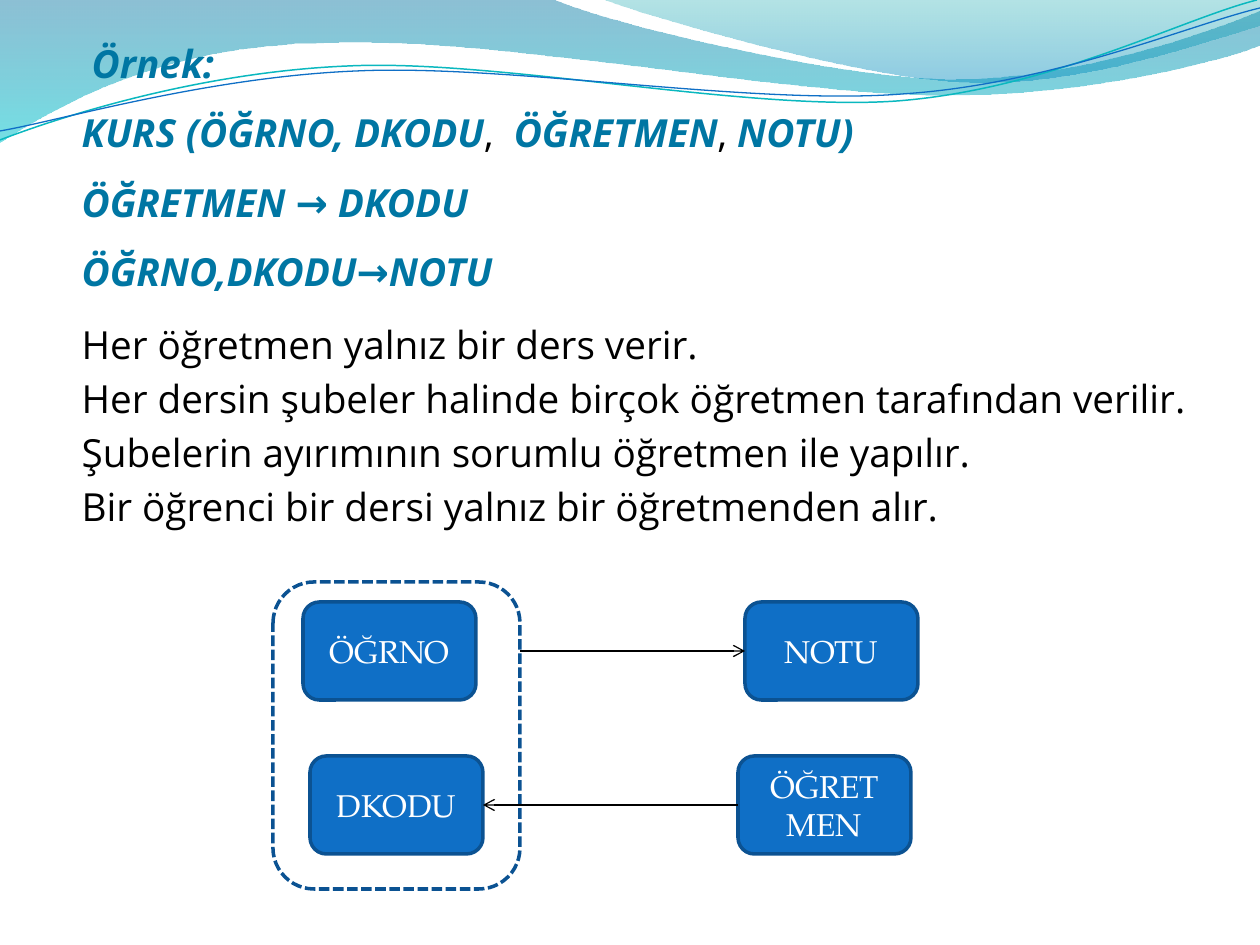
import dataclasses
import typing

import lxml.etree
import pptx
import pptx.dml.color
import pptx.enum.dml
import pptx.enum.shapes
import pptx.enum.text
import pptx.oxml.ns
import pptx.util

EMU_PER_PX = 914400 / 126
Point = tuple[int, int]


@dataclasses.dataclass(frozen=True)
class Theme:
    heading: str = "0076A3"
    text: str = "000000"
    light: str = "FFFFFF"
    node: str = "0F6FC6"
    edge: str = "0B5292"
    teal: str = "0AB8BF"
    body_font: str = "Open Sans"
    node_font: str = "TeX Gyre Pagella"
    body_size: float = 22.1
    node_size: float = 18
    node_line: float = 2
    thin_line: float = 0.75


THEME = Theme()


class Stop(typing.NamedTuple):
    color: str
    opacity: int


@dataclasses.dataclass(frozen=True)
class Wave:
    start: Point
    segments: list[tuple[Point, ...]]
    stops: tuple[Stop, ...] = ()
    line: str = ""
    width: float = 0


class Node(typing.NamedTuple):
    label: str
    left: int
    top: int


class Arrow(typing.NamedTuple):
    start: Point
    end: Point


WAVES = [
    Wave((0, 0), [
        ((554, 0),),
        ((600, 21), (837, 79), (955, 79)),
        ((1075, 79), (1207, 33), (1260, 11)),
        ((1260, 45),),
        ((1239, 55), (1096, 96), (940, 95)),
        ((784, 95), (481, 35), (324, 43)),
        ((163, 45), (58, 105), (0, 142)),
    ], stops=(Stop("0074A1", 45), Stop("00C6CF", 55))),
    Wave((604, 0), [
        ((642, 15), (859, 78), (969, 82)),
        ((1079, 87), (1211, 40), (1260, 26)),
        ((1260, 0),),
    ], stops=(Stop("00A1A9", 30), Stop("008BBF", 45))),
    Wave((0, 140), [
        ((60, 117), (199, 72), (349, 66)),
        ((498, 59), (747, 112), (898, 101)),
        ((1050, 89), (1182, 19), (1257, 0)),
    ], line=THEME.teal, width=0.85),
    Wave((0, 131), [
        ((59, 121), (207, 77), (357, 71)),
        ((508, 64), (752, 106), (903, 94)),
        ((1053, 84), (1186, 26), (1260, 8)),
    ], line=THEME.node, width=THEME.thin_line),
]

HEADINGS = [
    [(" Örnek:", True)],
    [("KURS (ÖĞRNO, DKODU", True), (",  ", False), ("ÖĞRETMEN", True),
     (",", False), (" NOTU)", True)],
    [("ÖĞRETMEN → DKODU", True)],
    [("ÖĞRNO,DKODU→NOTU", True)],
]
STATEMENTS = [
    "Her öğretmen yalnız bir ders verir.",
    "Her dersin şubeler halinde birçok öğretmen tarafından verilir.",
    "Şubelerin ayırımının sorumlu öğretmen ile yapılır.",
    "Bir öğrenci bir dersi yalnız bir öğretmenden alır.",
]
NODE_SIZE = (173, 98)
NODE_INSET = 18
NODES = [Node("ÖĞRNO", 303, 602), Node("DKODU", 310, 756),
         Node("ÖĞRETMEN", 738, 756), Node("NOTU", 745, 602)]
KEY_FRAME = (273, 582, 247, 307)
ARROWS = [Arrow((520, 651), (745, 651)), Arrow((738, 805), (483, 805))]


def px(value: float) -> int:
    return round(value * EMU_PER_PX)


def rgb(color: str) -> pptx.dml.color.RGBColor:
    return pptx.dml.color.RGBColor.from_string(color)


def apply(target: typing.Any, values: dict[str, typing.Any]) -> None:
    for name, value in values.items():
        setattr(target, name, value)


def add_element(parent: typing.Any, tag: str, **attributes: str) -> None:
    lxml.etree.SubElement(parent, pptx.oxml.ns.qn(tag), **attributes)


def set_line(line: typing.Any, color: str, width: float) -> None:
    line.color.rgb = rgb(color)
    line.width = pptx.util.Pt(width)


def bend(shape: typing.Any, wave: Wave) -> None:
    edges = list(shape._element.iter(pptx.oxml.ns.qn("a:lnTo")))
    for edge, segment in zip(edges, wave.segments):
        if len(segment) == 3:
            curve = lxml.etree.Element(pptx.oxml.ns.qn("a:cubicBezTo"))
            for x, y in segment:
                add_element(curve, "a:pt", x=str(px(x) - shape.left), y=str(px(y) - shape.top))
            edge.getparent().replace(edge, curve)


def draw_wave(page: typing.Any, wave: Wave) -> None:
    builder = page.shapes.build_freeform(*map(px, wave.start))
    ends = [tuple(map(px, segment[-1])) for segment in wave.segments]
    builder.add_line_segments(ends, close=bool(wave.stops))
    shape = builder.convert_to_shape()
    shape.shadow.inherit = False
    bend(shape, wave)
    if not wave.stops:
        shape.fill.background()
        set_line(shape.line, wave.line, wave.width)
        return
    shape.line.fill.background()
    shape.fill.gradient()
    shape.fill.gradient_angle = 270
    for position, (target, stop) in enumerate(zip(shape.fill.gradient_stops, wave.stops)):
        target.position = position
        target.color.rgb = rgb(stop.color)
    colors = shape._element.spPr.iter(pptx.oxml.ns.qn("a:srgbClr"))
    for color, stop in zip(list(colors), wave.stops):
        add_element(color, "a:alpha", val=str(stop.opacity * 1000))


def fill_body(box: typing.Any) -> None:
    apply(box, {"left": px(69), "top": px(37), "width": px(1177), "height": px(544)})
    frame = box.text_frame
    apply(frame, {"word_wrap": True, "auto_size": pptx.enum.text.MSO_AUTO_SIZE.NONE,
                  "vertical_anchor": pptx.enum.text.MSO_ANCHOR.TOP})
    rows = [(spans, 0.95, 10) for spans in HEADINGS]
    rows += [([(text, False)], 1.0, 0) for text in STATEMENTS]
    for index, (spans, spacing, after) in enumerate(rows):
        para = frame.add_paragraph() if index else frame.paragraphs[0]
        apply(para, {"line_spacing": spacing, "space_before": pptx.util.Pt(4.4),
                     "space_after": pptx.util.Pt(after)})
        properties = para._p.get_or_add_pPr()
        properties.set("marL", "0")
        properties.set("indent", "0")
        add_element(properties, "a:buNone")
        for text, strong in spans:
            span = para.add_run()
            span.text = text
            apply(span.font, {"name": THEME.body_font, "bold": strong, "italic": strong,
                              "size": pptx.util.Pt(THEME.body_size)})
            span.font.color.rgb = rgb(THEME.heading if strong else THEME.text)


def add_round_box(page: typing.Any, left: int, top: int, width: int, height: int) -> typing.Any:
    box = page.shapes.add_shape(pptx.enum.shapes.MSO_SHAPE.ROUNDED_RECTANGLE,
                                px(left), px(top), px(width), px(height))
    box.shadow.inherit = False
    set_line(box.line, THEME.edge, THEME.node_line)
    return box


def draw_node(page: typing.Any, node: Node) -> None:
    box = add_round_box(page, node.left, node.top, *NODE_SIZE)
    box.fill.solid()
    box.fill.fore_color.rgb = rgb(THEME.node)
    apply(box.text_frame, {"word_wrap": True, "margin_left": px(NODE_INSET),
                           "margin_right": px(NODE_INSET),
                           "vertical_anchor": pptx.enum.text.MSO_ANCHOR.MIDDLE})
    para = box.text_frame.paragraphs[0]
    para.alignment = pptx.enum.text.PP_ALIGN.CENTER
    span = para.add_run()
    span.text = node.label
    apply(span.font, {"name": THEME.node_font, "size": pptx.util.Pt(THEME.node_size)})
    span.font.color.rgb = rgb(THEME.light)


def draw_arrow(page: typing.Any, arrow: Arrow) -> None:
    connector = page.shapes.add_connector(pptx.enum.shapes.MSO_CONNECTOR.STRAIGHT,
                                          *map(px, arrow.start + arrow.end))
    set_line(connector.line, THEME.text, THEME.thin_line)
    add_element(connector.line._get_or_add_ln(), "a:tailEnd", type="arrow")
    add_element(connector._element.spPr, "a:effectLst")


def main() -> None:
    deck = pptx.Presentation()
    apply(deck, {"slide_width": px(1260), "slide_height": px(945)})
    page = deck.slides.add_slide(deck.slide_layouts[1])
    title, body = page.placeholders
    tree = title._element.getparent()
    tree.remove(title._element)
    for wave in WAVES:
        draw_wave(page, wave)
    fill_body(body)
    tree.append(body._element)
    for node in NODES:
        draw_node(page, node)
    frame = add_round_box(page, *KEY_FRAME)
    frame.fill.background()
    frame.line.dash_style = pptx.enum.dml.MSO_LINE.SQUARE_DOT
    for arrow in ARROWS:
        draw_arrow(page, arrow)
    deck.save("out.pptx")


if __name__ == "__main__":
    main()
